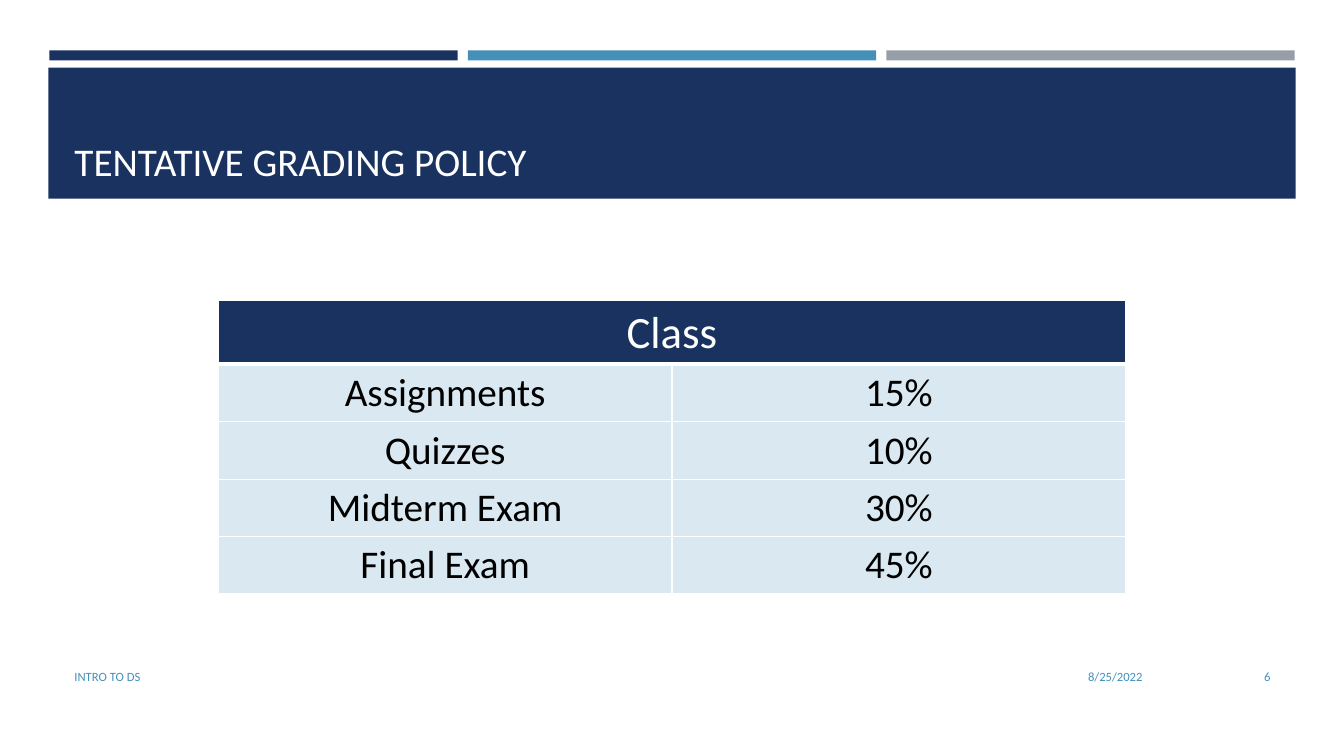
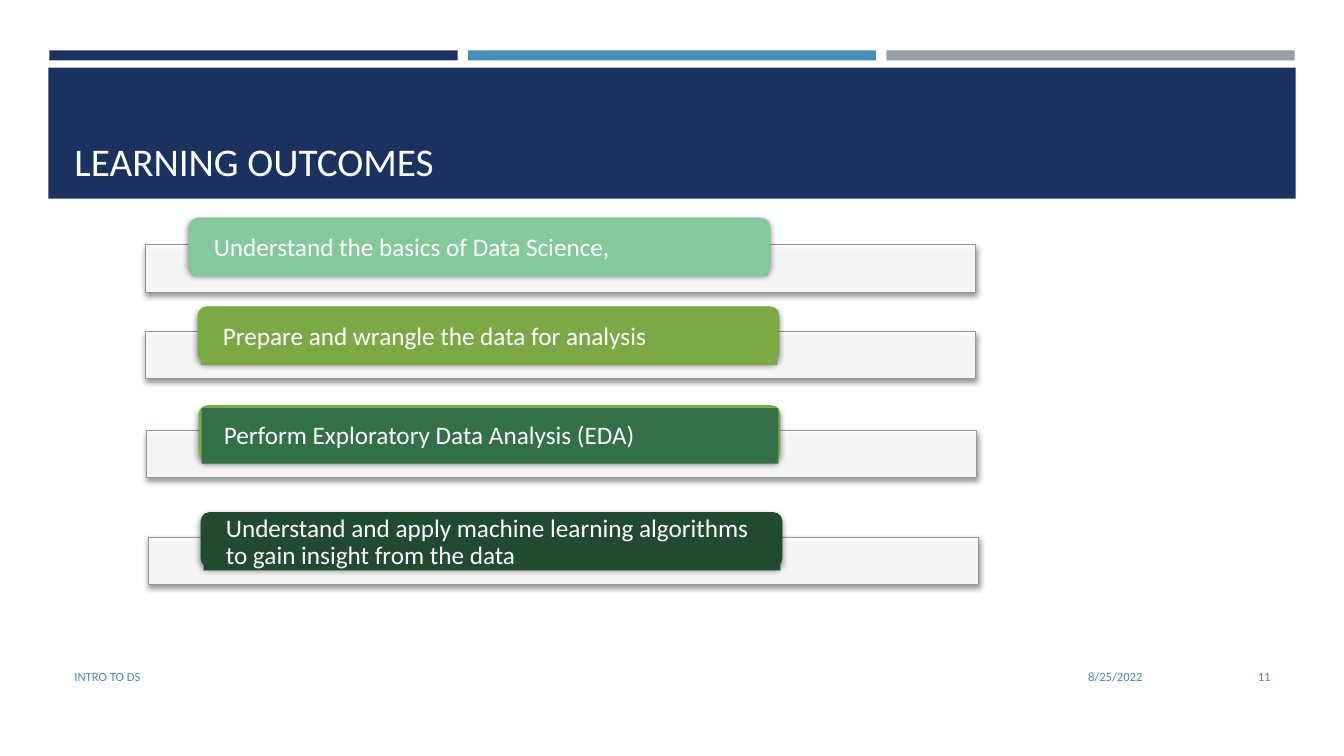
"""Build a grading policy slide and a learning outcomes slide in one shared style."""
from lxml import etree
from pptx import Presentation
from pptx.dml.color import RGBColor
from pptx.enum.shapes import MSO_SHAPE
from pptx.enum.text import MSO_ANCHOR, PP_ALIGN
from pptx.oxml import parse_xml
from pptx.oxml.ns import nsdecls, qn
from pptx.util import Inches, Pt

RECT, ROUND = MSO_SHAPE.RECTANGLE, MSO_SHAPE.ROUNDED_RECTANGLE
LEFT, CENTER, RIGHT = PP_ALIGN.LEFT, PP_ALIGN.CENTER, PP_ALIGN.RIGHT
MIDDLE, BOTTOM = MSO_ANCHOR.MIDDLE, MSO_ANCHOR.BOTTOM

COLORS = {
    "navy": "1A3260", "blue": "4590B8", "gray": "969FA7", "white": "FFFFFF",
    "black": "000000", "pale": "DAE9F1", "mauve": "9D90A0", "mint": "84C99C",
    "lime": "7BA946", "green": "327047", "forest": "214B30",
}
FONT = "Calibri"
WIDTH, HEIGHT = 13.33, 7.5
MARGIN, GAP = 0.49, 0.1
STRIP = (WIDTH - 2 * MARGIN - 2 * GAP) / 3
TEXT_LEFT = 0.64
TEXT_WIDTH = WIDTH - 2 * TEXT_LEFT
FOOTER_TOP, FOOTER_HEIGHT = 6.51, 0.4

PAGES = [("TENTATIVE GRADING POLICY", "6"), ("LEARNING OUTCOMES", "11")]
GRADES = [
    ("Class", ""), ("Assignments", "15%"), ("Quizzes", "10%"),
    ("Midterm Exam", "30%"), ("Final Exam", "45%"),
]
OUTCOMES = [
    (1.44, 2.43, 1.87, 2.16, "mint", "mint", "Understand the basics of Data Science,"),
    (1.44, 3.29, 1.96, 3.04, "lime", "lime", "Prepare and wrangle the data for analysis"),
    (1.45, 4.27, 1.97, 4.02, "lime", "green", "Perform Exploratory Data Analysis (EDA)"),
    (1.47, 5.33, 1.99, 5.08, "forest", "forest",
     "Understand and apply machine learning algorithms to gain insight from the data"),
]
SHADOW = (
    f'<a:effectLst {nsdecls("a")}><a:outerShdw blurRad="50800" dist="25400" dir="5400000" '
    'rotWithShape="0"><a:srgbClr val="000000"><a:alpha val="45000"/></a:srgbClr>'
    '</a:outerShdw></a:effectLst>'
)


def add_block(shapes, kind, area, color, shadow=False):
    """Add a filled shape without outline."""
    block = shapes.add_shape(kind, *map(Inches, area))
    block.fill.solid()
    block.fill.fore_color.rgb = RGBColor.from_string(COLORS[color])
    block.line.fill.background()
    block.shadow.inherit = False
    if shadow:
        effects = block._element.spPr.find(qn("a:effectLst"))
        effects.getparent().replace(effects, parse_xml(SHADOW))
    return block


def write(frame, text, size, color, align=LEFT, anchor=MIDDLE):
    """Set one styled paragraph in a text frame."""
    frame.word_wrap = True
    frame.vertical_anchor = anchor
    para = frame.paragraphs[0]
    para.text = text
    para.alignment = align
    para.font.name = FONT
    para.font.size = Pt(size)
    para.font.color.rgb = RGBColor.from_string(COLORS[color])
    return para


deck = Presentation()
deck.slide_width, deck.slide_height = Inches(WIDTH), Inches(HEIGHT)
pages = []
for title, number in PAGES:
    page = deck.slides.add_slide(deck.slide_layouts[6])
    pages.append(page)
    for column, color in enumerate(("navy", "blue", "gray")):
        left = MARGIN + column * (STRIP + GAP)
        add_block(page.shapes, RECT, (left, 0.5, STRIP, 0.1), color)
    add_block(page.shapes, RECT, (0.48, 0.67, WIDTH - 2 * 0.48, 1.3), "navy")
    labels = [
        ((TEXT_LEFT, 0.77, TEXT_WIDTH, 1.11), title, 28, "white", LEFT, BOTTOM),
        ((TEXT_LEFT, FOOTER_TOP, 7.56, FOOTER_HEIGHT), "INTRO TO DS", 9, "blue", LEFT, MIDDLE),
        ((8.32, FOOTER_TOP, 3.11, FOOTER_HEIGHT), "8/25/2022", 9, "blue", RIGHT, MIDDLE),
        ((11.55, FOOTER_TOP, 1.15, FOOTER_HEIGHT), number, 9, "blue", RIGHT, MIDDLE),
    ]
    for area, *style in labels:
        box = page.shapes.add_textbox(*map(Inches, area))
        write(box.text_frame, *style)

grading, learning = pages

area = ((WIDTH - 9) / 2, 2.98, 9, 2.91)
table = grading.shapes.add_table(len(GRADES), 2, *map(Inches, area)).table
for row, texts in enumerate(GRADES):
    header = row == 0
    table.rows[row].height = Inches(0.63 if header else 0.57)
    for column, text in enumerate(texts):
        cell = table.cell(row, column)
        properties = cell._tc.get_or_add_tcPr()
        for side in ("lnL", "lnR", "lnT", "lnB"):
            points = 3 if header and side == "lnB" else 1
            border = etree.SubElement(properties, qn(f"a:{side}"), w=str(Pt(points)))
            fill = etree.SubElement(border, qn("a:solidFill"))
            etree.SubElement(fill, qn("a:srgbClr"), val=COLORS["white"])
        cell.fill.solid()
        cell.fill.fore_color.rgb = RGBColor.from_string(COLORS["navy" if header else "pale"])
        if text:
            para = write(cell.text_frame, text, 32 if header else 28,
                         "white" if header else "black", CENTER, None)
            para.font.bold = False
table.cell(0, 0).merge(table.cell(0, 1))

for panel_left, panel_top, left, top, card_color, label_color, text in OUTCOMES:
    panel = add_block(learning.shapes, RECT, (panel_left, panel_top, 8.24, 0.47), "white", True)
    tint = panel._element.spPr.find(qn("a:solidFill"))[0]
    etree.SubElement(tint, qn("a:alpha"), val="90000")
    panel.line.color.rgb = RGBColor.from_string(COLORS["mauve"])
    panel.line.width = Pt(0.75)
    group = learning.shapes.add_group_shape()
    add_block(group.shapes, ROUND, (left, top, 5.77, 0.55), card_color, True)
    label = add_block(group.shapes, RECT, (left + 0.03, top + 0.03, 5.72, 0.55), label_color)
    frame = label.text_frame
    frame.margin_left = frame.margin_right = Inches(0.22)
    frame.margin_top = frame.margin_bottom = 0
    write(frame, text, 18, "white").line_spacing = 0.9

deck.save("out.pptx")
